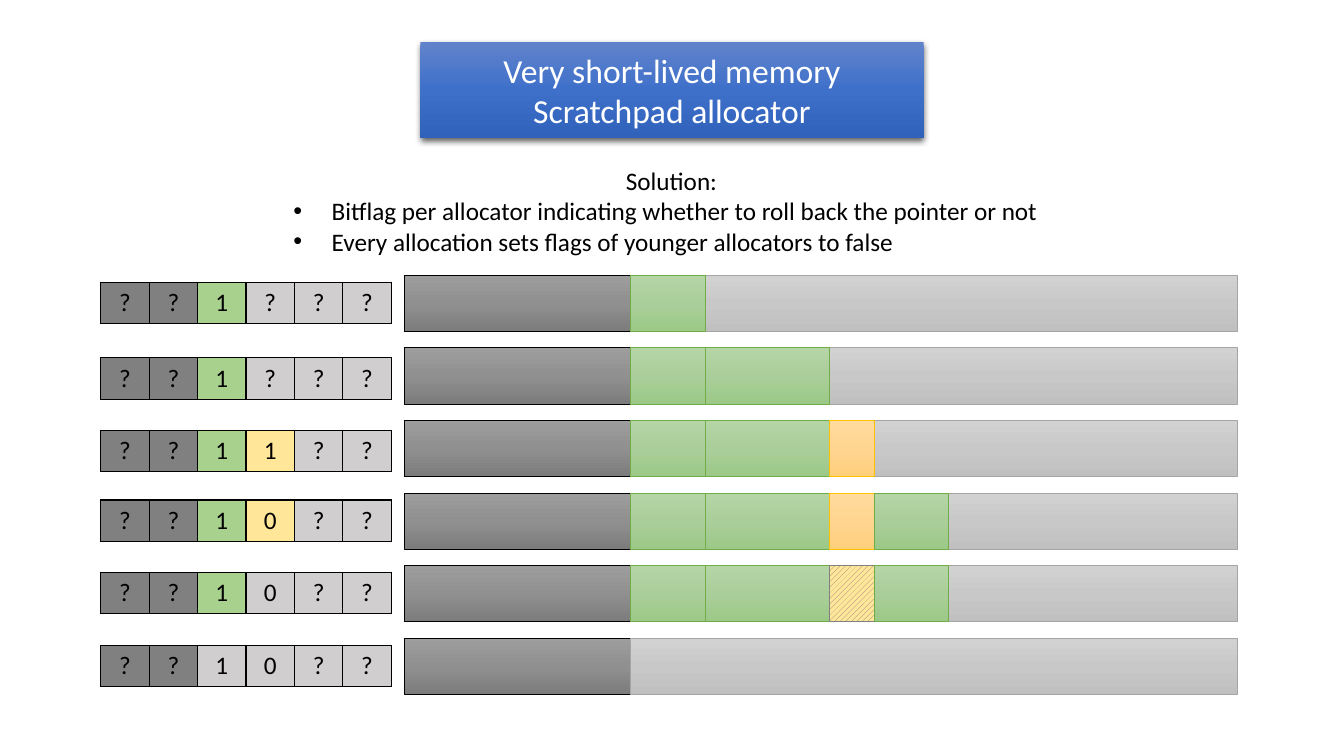
from dataclasses import dataclass

from lxml import etree
from pptx import Presentation
from pptx import util as u
from pptx.dml.color import RGBColor
from pptx.enum import dml, shapes, text
from pptx.oxml import parse_xml
from pptx.oxml.ns import nsdecls, qn


@dataclass(frozen=True)
class Tone:
    stops: tuple[str, str, str]
    line: str


@dataclass(frozen=True)
class Theme:
    font: str = "Calibri"
    title_size: int = 24
    body_size: int = 18
    ink: str = "000000"
    title_ink: str = "FFFFFF"
    title: Tone = Tone(("6183CB", "3E70CA", "3062BB"), "")
    used: Tone = Tone(("9D9D9D", "909090", "7C7C7C"), "000000")
    free: Tone = Tone(("D2D2D2", "C8C8C8", "C0C0C0"), "A5A5A5")
    older: Tone = Tone(("B5D5A7", "AACE9A", "9CC987"), "70AD47")
    younger: Tone = Tone(("FFDB9E", "FFD590", "FFD07C"), "FFC000")
    hatch: str = "808080"
    flag_used: str = "808080"
    flag_free: str = "D0CECE"
    flag_older: str = "A9D18E"
    flag_younger: str = "FFE699"


@dataclass(frozen=True)
class Step:
    """One allocation step: flag bits, their tones and the blocks in memory.

    Tones: u used, f free, o older allocator, y younger allocator, h hole.
    """
    flags_top: float
    bits: str
    flag_tones: str
    blocks: str


THEME = Theme()
MEMORY_TONES = {"u": THEME.used, "f": THEME.free, "o": THEME.older, "y": THEME.younger}
FLAG_FILLS = {"u": THEME.flag_used, "f": THEME.flag_free,
              "o": THEME.flag_older, "y": THEME.flag_younger}

STEPS = [
    Step(2.80, "??1???", "uuofff", "o"),
    Step(3.55, "??1???", "uuofff", "oo"),
    Step(4.27, "??11??", "uuoyff", "ooy"),
    Step(4.96, "??10??", "uuoyff", "ooyo"),
    Step(5.68, "??10??", "uuofff", "ooho"),
    Step(6.40, "??10??", "uuffff", ""),
]
MEMORY_TOP, MEMORY_PITCH, MEMORY_HEIGHT = 2.73, 0.72, 0.56
MEMORY_LEFT, MEMORY_RIGHT = 4.01, 12.27
BLOCK_EDGES = [6.25, 7.0, 8.23, 8.67, 9.41]
FLAGS_LEFT, FLAG_WIDTH, FLAG_HEIGHT = 1.0, 0.48, 0.41

TITLE = ["Very short-lived memory", "Scratchpad allocator"]
SOLUTION = [
    "Solution:",
    "Bitflag per allocator indicating whether to roll back the pointer or not",
    "Every allocation sets flags of younger allocators to false",
]


def rgb(value: str) -> RGBColor:
    return RGBColor.from_string(value)


def apply(target, formats: dict) -> None:
    for name, value in formats.items():
        setattr(target, name, value)


def place(shape, left: float, top: float, width: float, height: float) -> None:
    apply(shape, {"left": u.Inches(left), "top": u.Inches(top),
                  "width": u.Inches(width), "height": u.Inches(height)})


def format_paragraph(paragraph, size: int, color: str, align) -> None:
    apply(paragraph, {"alignment": align, "space_before": u.Pt(0), "line_spacing": 1.0})
    for run in paragraph.runs:
        apply(run.font, {"name": THEME.font, "size": u.Pt(size), "bold": False})
        run.font.color.rgb = rgb(color)


def fill_gradient(shape, tone: Tone) -> None:
    stops = "".join(
        f'<a:gs pos="{pos}"><a:srgbClr val="{color}"/></a:gs>'
        for pos, color in zip((0, 50000, 100000), tone.stops))
    gradient = parse_xml(f'<a:gradFill {nsdecls("a")} rotWithShape="1"><a:gsLst>{stops}'
                         '</a:gsLst><a:lin ang="5400000" scaled="0"/></a:gradFill>')
    shape.fill.background()
    properties = shape.element.spPr
    properties.replace(properties.find(qn("a:noFill")), gradient)


def add_title(slide) -> None:
    heading = slide.shapes.title
    place(heading, 4.17, 0.42, 4.99, 0.95)
    heading.element.spPr.append(parse_xml(
        f'<a:prstGeom {nsdecls("a")} prst="roundRect"><a:avLst/></a:prstGeom>'))
    fill_gradient(heading, THEME.title)
    heading.element.spPr.append(parse_xml(
        f'<a:effectLst {nsdecls("a")}><a:outerShdw blurRad="{u.Pt(4.5)}" dist="{u.Pt(1.5)}" '
        f'dir="5400000" algn="ctr" rotWithShape="0"><a:srgbClr val="{THEME.ink}">'
        '<a:alpha val="63000"/></a:srgbClr></a:outerShdw></a:effectLst>'))
    frame = heading.text_frame
    frame.text = "\n".join(TITLE)
    apply(frame, {"auto_size": text.MSO_AUTO_SIZE.NONE, "word_wrap": True,
                  "vertical_anchor": text.MSO_ANCHOR.MIDDLE})
    for line in frame.paragraphs:
        format_paragraph(line, THEME.title_size, THEME.title_ink, text.PP_ALIGN.CENTER)


def add_solution(slide) -> None:
    solution = slide.placeholders[1]
    place(solution, 2.81, 1.59, 7.7, 1.01)
    frame = solution.text_frame
    frame.text = "\n".join(SOLUTION)
    apply(frame, {"auto_size": text.MSO_AUTO_SIZE.SHAPE_TO_FIT_TEXT, "word_wrap": True,
                  "vertical_anchor": text.MSO_ANCHOR.TOP})
    for index, point in enumerate(frame.paragraphs):
        align = text.PP_ALIGN.LEFT if index else text.PP_ALIGN.CENTER
        format_paragraph(point, THEME.body_size, THEME.ink, align)
        indent = u.Inches(0.38) if index else 0
        properties = point._p.get_or_add_pPr()
        properties.set("marL", str(indent))
        properties.set("indent", str(-indent))
        if index:
            etree.SubElement(properties, qn("a:buFont"), typeface="Arial")
            etree.SubElement(properties, qn("a:buChar"), char="•")
        else:
            etree.SubElement(properties, qn("a:buNone"))


def add_block(slide, left: float, right: float, top: float, kind: str) -> None:
    block = slide.shapes.add_shape(
        shapes.MSO_SHAPE.RECTANGLE, u.Inches(left), u.Inches(top),
        u.Inches(right - left), u.Inches(MEMORY_HEIGHT))
    block.shadow.inherit = False
    if kind == "h":
        block.fill.patterned()
        block.fill.pattern = dml.MSO_PATTERN.WIDE_UPWARD_DIAGONAL
        block.fill.fore_color.rgb = rgb(THEME.hatch)
        block.fill.back_color.rgb = rgb(THEME.flag_younger)
        outline, weight = THEME.hatch, 0.75
    else:
        tone = MEMORY_TONES[kind]
        fill_gradient(block, tone)
        outline, weight = tone.line, 0.5
    block.line.color.rgb = rgb(outline)
    block.line.width = u.Pt(weight)


def add_memory(slide, top: float, blocks: str) -> None:
    add_block(slide, MEMORY_LEFT, BLOCK_EDGES[0], top, "u")
    add_block(slide, BLOCK_EDGES[len(blocks)], MEMORY_RIGHT, top, "f")
    for left, right, kind in zip(BLOCK_EDGES, BLOCK_EDGES[1:], blocks):
        add_block(slide, left, right, top, kind)


def add_flags(slide, step: Step) -> None:
    count = len(step.bits)
    flags = slide.shapes.add_table(
        1, count, u.Inches(FLAGS_LEFT), u.Inches(step.flags_top),
        u.Inches(FLAG_WIDTH * count), u.Inches(FLAG_HEIGHT)).table
    apply(flags, {"first_row": False, "horz_banding": False})
    for column, bit, kind in zip(range(count), step.bits, step.flag_tones):
        flag = flags.cell(0, column)
        apply(flag, {"text": bit, "vertical_anchor": text.MSO_ANCHOR.MIDDLE})
        format_paragraph(flag.text_frame.paragraphs[0], THEME.body_size, THEME.ink,
                         text.PP_ALIGN.CENTER)
        flag.fill.solid()
        flag.fill.fore_color.rgb = rgb(FLAG_FILLS[kind])
        for position, side in enumerate(("lnL", "lnR", "lnT", "lnB")):
            flag._tc.get_or_add_tcPr().insert(position, parse_xml(
                f'<a:{side} {nsdecls("a")} w="{u.Pt(1)}"><a:solidFill>'
                f'<a:srgbClr val="{THEME.ink}"/></a:solidFill></a:{side}>'))


def main() -> None:
    deck = Presentation()
    apply(deck, {"slide_width": u.Inches(13.33), "slide_height": u.Inches(7.5)})
    slide = deck.slides.add_slide(deck.slide_layouts[1])
    add_title(slide)
    add_solution(slide)
    # Each step pairs its flags with the memory they describe
    for row, step in enumerate(STEPS):
        add_memory(slide, MEMORY_TOP + row * MEMORY_PITCH, step.blocks)
        add_flags(slide, step)
    deck.save("out.pptx")


if __name__ == "__main__":
    main()
